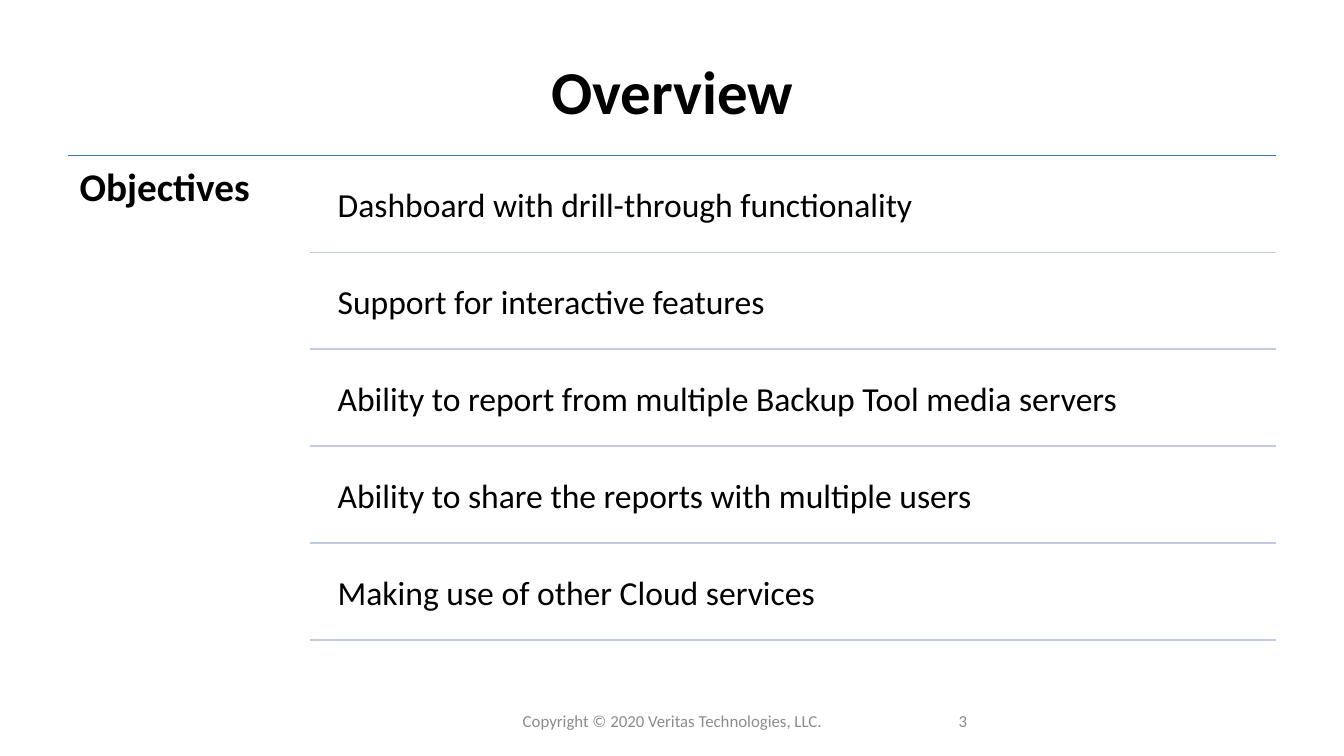
from lxml.etree import SubElement
from pptx import Presentation
from pptx.dml.color import RGBColor
from pptx.enum.shapes import MSO_CONNECTOR
from pptx.enum.text import MSO_ANCHOR, MSO_AUTO_SIZE, PP_ALIGN
from pptx.oxml.ns import qn
from pptx.util import Inches, Pt

FONT = "Calibri"
COLORS = {"text": "000000", "footer": "8C8C8C", "header_rule": "4472C4", "row_rule": "C1C9E4"}
OBJECTIVES = [
    "Dashboard with drill-through functionality",
    "Support for interactive features",
    "Ability to report from multiple Backup Tool media servers",
    "Ability to share the reports with multiple users",
    "Making use of other Cloud services",
]
RULE_RIGHT = 12.66
RULE_TOP = 1.54
ROW_LEFT = 3.07
ROWS_HEIGHT = 4.81
ROW_PITCH = ROWS_HEIGHT / len(OBJECTIVES)


class OverviewSlide:
    def __init__(self, presentation):
        self.slide = presentation.slides.add_slide(presentation.slide_layouts[5])

    def set_text(self, shape, text, size, color="text", bold=False, align=PP_ALIGN.LEFT,
                 anchor=MSO_ANCHOR.MIDDLE, inset=0.1, spacing=0.9):
        """Fill a shape with one styled paragraph; inset applies to all four sides."""
        frame = shape.text_frame
        frame.text = text
        frame.word_wrap = True
        frame.auto_size = MSO_AUTO_SIZE.NONE
        frame.vertical_anchor = anchor
        frame.margin_left = frame.margin_right = Inches(inset)
        frame.margin_top = frame.margin_bottom = Inches(inset)
        paragraph = frame.paragraphs[0]
        paragraph.alignment = align
        paragraph.line_spacing = spacing
        font = paragraph.runs[0].font
        font.name = FONT
        font.size = Pt(size)
        font.bold = bold
        font.color.rgb = RGBColor.from_string(COLORS[color])

    def title(self, text, left, top, width, height):
        heading = self.slide.shapes.title
        heading.left, heading.top = Inches(left), Inches(top)
        heading.width, heading.height = Inches(width), Inches(height)
        self.set_text(heading, text, 43.5, bold=True, align=PP_ALIGN.CENTER, inset=0)

    def text(self, text, left, top, width, height, size, **style):
        box = self.slide.shapes.add_textbox(
            Inches(left), Inches(top), Inches(width), Inches(height))
        self.set_text(box, text, size, **style)

    def rule(self, left, y, color):
        line = self.slide.shapes.add_connector(
            MSO_CONNECTOR.STRAIGHT, Inches(left), Inches(y), Inches(RULE_RIGHT), Inches(y))
        line.line.width = Pt(1)
        line.line.color.rgb = RGBColor.from_string(COLORS[color])
        SubElement(line._element.spPr, qn("a:effectLst"))


def main():
    presentation = Presentation()
    presentation.slide_width = Inches(13.33)
    presentation.slide_height = Inches(7.5)

    overview = OverviewSlide(presentation)
    overview.title("Overview", 0.67, 0.69, 12, 0.51)

    overview.rule(0.67, RULE_TOP, "header_rule")
    overview.text("Objectives", 0.67, RULE_TOP, 2.4, 4.86, 28, bold=True,
                  anchor=MSO_ANCHOR.TOP, inset=0.12)
    for row, objective in enumerate(OBJECTIVES):
        row_top = RULE_TOP + row * ROW_PITCH
        overview.text(objective, 3.25, row_top + 0.05, 9.42, 0.92, 24)
        overview.rule(ROW_LEFT, row_top + ROW_PITCH, "row_rule")

    overview.text("Copyright © 2020 Veritas Technologies, LLC.", 4.42, 6.95, 4.5, 0.4, 12,
                  color="footer", align=PP_ALIGN.CENTER, spacing=1.0)
    overview.text("3", 9.41, 6.95, 3, 0.4, 12, color="footer", spacing=1.0)

    presentation.save("out.pptx")


if __name__ == "__main__":
    main()
